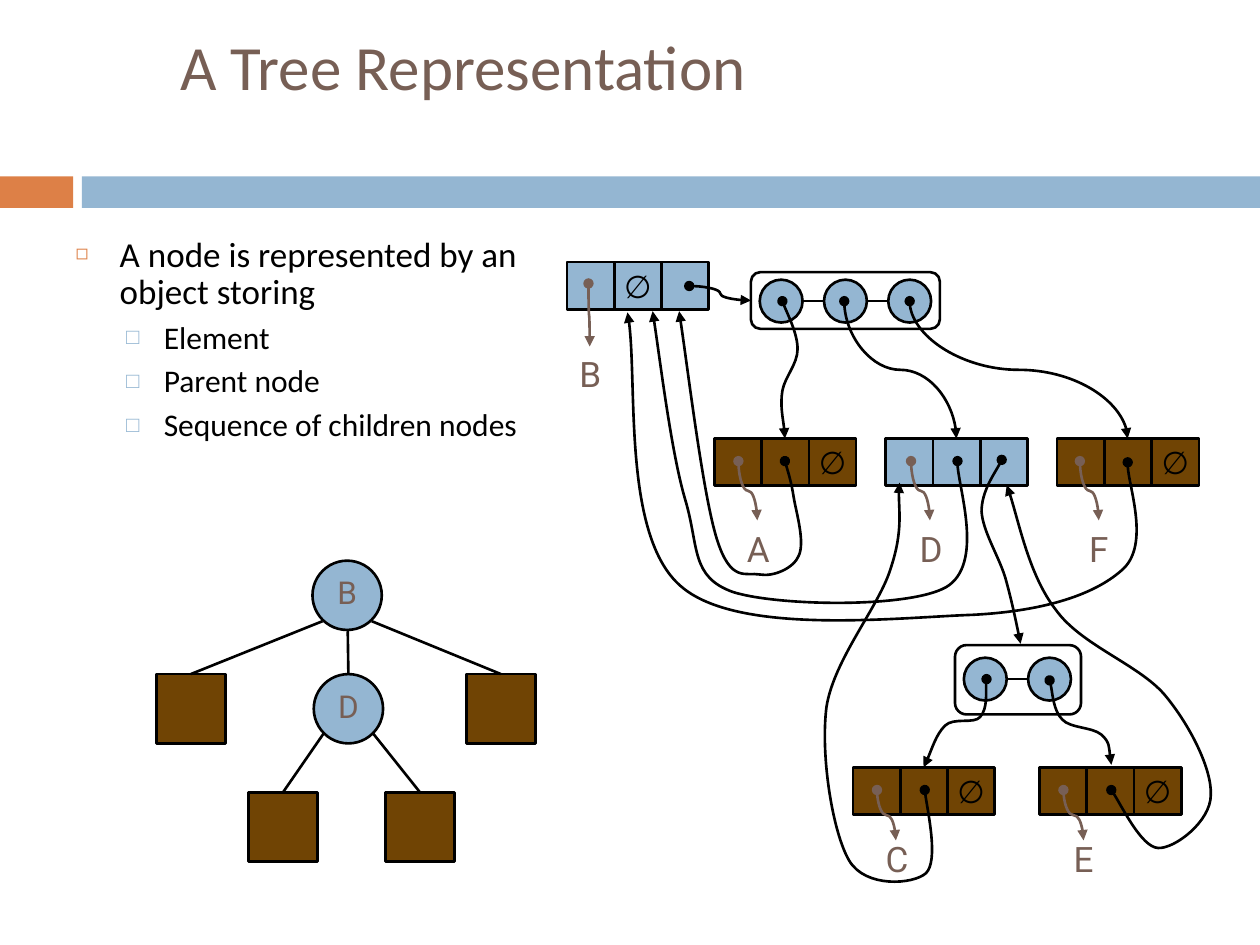
from dataclasses import dataclass

from lxml import etree
from pptx import Presentation
from pptx.dml.color import RGBColor
from pptx.enum.shapes import MSO_CONNECTOR, MSO_SHAPE
from pptx.enum.text import MSO_ANCHOR, MSO_AUTO_SIZE, PP_ALIGN
from pptx.oxml.ns import qn
from pptx.util import Cm, Pt

RECT, ROUND, OVAL = MSO_SHAPE.RECTANGLE, MSO_SHAPE.ROUNDED_RECTANGLE, MSO_SHAPE.OVAL
LINE, CURVE = MSO_CONNECTOR.STRAIGHT, MSO_CONNECTOR.CURVE
MIDDLE, TOP = MSO_ANCHOR.MIDDLE, MSO_ANCHOR.TOP
LEFT, CENTER = PP_ALIGN.LEFT, PP_ALIGN.CENTER
FIXED, GROW = MSO_AUTO_SIZE.NONE, MSO_AUTO_SIZE.SHAPE_TO_FIT_TEXT


@dataclass(frozen=True)
class Theme:
    blue: str = "94B6D2"
    brown: str = "704404"
    orange: str = "DD8047"
    taupe: str = "775F55"
    black: str = "000000"
    sans: str = "Calibri"
    mark: str = "Roboto"
    title: int = 36
    body: int = 20
    item: int = 18
    node: int = 18
    label: int = 20
    stroke: float = 1.5


T = Theme()
CELL, BALL, NODE = 0.375, 0.34, 0.55

# Name, left, top, fill, empty cell, element arrow (from x, y, to x, y), label drop
RECORDS = [
    ("B", 4.5, 2.08, T.blue, 1, (0.17, 0.17, 0.18, 0.67), 0.67),
    ("A", 5.67, 3.48, T.brown, 2, (0.19, 0.18, 0.34, 0.65), 0.66),
    ("D", 7.03, 3.48, T.blue, None, (0.2, 0.18, 0.35, 0.65), 0.66),
    ("F", 8.39, 3.48, T.brown, 2, (0.18, 0.18, 0.33, 0.65), 0.66),
    ("C", 6.77, 6.09, T.brown, 2, (0.19, 0.18, 0.34, 0.58), 0.51),
    ("E", 8.25, 6.09, T.brown, 2, (0.19, 0.18, 0.35, 0.58), 0.51),
]

# Tree nodes: name, shape, left, top, fill, text
NODES = [
    ("B", OVAL, 2.48, 4.45, T.blue, "B"), ("D", OVAL, 2.49, 5.35, T.blue, "D"),
    ("A", RECT, 1.24, 5.35, T.brown, ""), ("C", RECT, 1.97, 6.29, T.brown, ""),
    ("E", RECT, 3.06, 6.29, T.brown, ""), ("F", RECT, 3.7, 5.35, T.brown, ""),
]

# Edges: child, point on the rim of its parent
EDGES = [("E", (2.96, 5.82)), ("C", (2.57, 5.82)), ("A", (2.56, 4.93)),
         ("D", (2.76, 5.01)), ("F", (2.95, 4.93))]

# Pointer curves: a start, then two handles and an end for each bend
PATHS = [
    # Children to parents
    [(6.23, 3.66), (6.24, 3.7), (6.28, 3.82), (6.3, 3.95), (6.32, 4.07), (6.39, 4.3),
     (6.34, 4.41), (6.3, 4.51), (6.14, 4.58), (6.03, 4.56), (5.92, 4.54), (5.8, 4.63),
     (5.69, 4.28), (5.58, 3.93), (5.45, 2.85), (5.39, 2.47)],
    [(7.6, 3.66), (7.59, 3.82), (7.81, 4.48), (7.51, 4.66), (7.21, 4.83), (6.17, 4.81),
     (5.82, 4.7), (5.48, 4.58), (5.55, 4.34), (5.44, 3.97), (5.33, 3.6), (5.23, 2.78),
     (5.18, 2.47)],
    [(8.95, 3.67), (8.94, 3.81), (9.12, 4.31), (8.92, 4.51), (8.71, 4.71), (8.31, 4.85),
     (7.72, 4.88), (7.13, 4.9), (5.85, 5.05), (5.4, 4.65), (4.94, 4.25), (5.07, 2.93),
     (4.98, 2.48)],
    [(7.34, 6.27), (7.35, 6.38), (7.45, 6.83), (7.35, 6.93), (7.25, 7.02), (6.87, 7.05),
     (6.74, 6.83), (6.61, 6.61), (6.51, 6), (6.56, 5.61), (6.62, 5.23), (6.98, 4.81),
     (7.07, 4.51), (7.17, 4.21), (7.12, 3.97), (7.14, 3.83)],
    [(8.82, 6.27), (8.88, 6.35), (9.06, 6.72), (9.19, 6.73), (9.32, 6.74), (9.61, 6.52),
     (9.61, 6.31), (9.62, 6.11), (9.45, 5.76), (9.24, 5.51), (9.03, 5.27), (8.58, 5.12),
     (8.38, 4.84), (8.17, 4.57), (8.07, 4.06), (7.99, 3.85)],
    # Parents to children
    [(7.95, 3.65), (7.92, 3.72), (7.79, 3.9), (7.79, 4.06), (7.8, 4.22), (7.93, 4.42),
     (7.98, 4.59), (8.03, 4.77), (8.08, 5.01), (8.1, 5.11)],
    [(8.33, 5.4), (8.35, 5.45), (8.36, 5.64), (8.43, 5.71), (8.49, 5.78), (8.67, 5.77),
     (8.74, 5.83), (8.81, 5.89), (8.81, 6.02), (8.82, 6.07)],
    [(7.83, 5.39), (7.82, 5.44), (7.84, 5.62), (7.78, 5.69), (7.73, 5.75), (7.57, 5.69),
     (7.5, 5.76), (7.43, 5.83), (7.37, 6.02), (7.33, 6.09)],
    [(6.21, 2.39), (6.23, 2.45), (6.33, 2.65), (6.33, 2.77), (6.33, 2.89), (6.23, 2.99),
     (6.21, 3.1), (6.19, 3.22), (6.23, 3.4), (6.23, 3.48)],
]


def unit(size):
    """One grid unit is 2.54 cm."""
    return Cm(2.54 * size)


def units(*sizes):
    return [unit(size) for size in sizes]


def assign(item, values):
    for name, value in values.items():
        setattr(item, name, value)


def add_tag(parent, tag, **attrs):
    return etree.SubElement(parent, qn(tag), attrs)


def write(para, text, size, color, font, align=CENTER):
    para.text, para.alignment = text, align
    assign(para.runs[0].font, {"size": Pt(size), "name": font})
    para.runs[0].font.color.rgb = RGBColor.from_string(color)


def stroke(item, color=T.black, arrow=False):
    item.line.color.rgb = RGBColor.from_string(color)
    item.line.width = Pt(T.stroke)
    if arrow:
        edge = item.line._get_or_add_ln()
        add_tag(edge, "a:headEnd", type="oval")
        add_tag(edge, "a:tailEnd", type="triangle")


def add_box(shapes, kind, place, fill=None, text="", rim=True, foot=0.05):
    box = shapes.add_shape(kind, *units(*place))
    box.shadow.inherit = False
    if fill:
        box.fill.solid()
        box.fill.fore_color.rgb = RGBColor.from_string(fill)
    else:
        box.fill.background()
    if rim:
        stroke(box)
    else:
        box.line.fill.background()
    if text:
        frame = box.text_frame
        assign(frame, {"margin_left": 0, "margin_right": 0, "margin_top": 0,
                       "margin_bottom": unit(foot), "word_wrap": False,
                       "vertical_anchor": MIDDLE})
        color = T.black if text == "∅" else T.taupe
        write(frame.paragraphs[0], text, T.node, color, T.mark)
    return box


def add_link(shapes, kind, start, end, color=T.black, arrow=False):
    link = shapes.add_connector(kind, *units(*start, *end))
    stroke(link, color, arrow)
    add_tag(link._element.spPr, "a:effectLst")
    return link


def add_drop(shapes, start, end, color=T.black, goal=None):
    """A curve that leaves and arrives upright: a turned, mirrored connector."""
    drop = add_link(shapes, CURVE, start, end, color, True)
    if goal:
        drop.end_connect(goal, 0)
    wide, high = end[0] - start[0], end[1] - start[1]
    mid_x, mid_y = (start[0] + end[0]) / 2, (start[1] + end[1]) / 2
    assign(drop, {"left": unit(mid_x - high / 2), "top": unit(mid_y - wide / 2),
                  "width": unit(high), "height": unit(wide)})
    frame = drop._element.spPr.find(qn("a:xfrm"))
    for name, value in {"rot": "16200000", "flipH": "1", "flipV": "0"}.items():
        frame.set(name, value)


def add_path(shapes, points):
    start, *rest = [units(*point) for point in points]
    pen = shapes.build_freeform(*start)
    pen.add_line_segments(rest, close=False)
    path = pen.convert_to_shape()
    path.shadow.inherit = False
    path.fill.background()
    stroke(path, arrow=True)
    # Each three line ends become one cubic bend
    legs = list(path._element.iter(qn("a:lnTo")))
    for first in range(0, len(legs), 3):
        bend = add_tag(legs[first].getparent(), "a:cubicBezTo")
        for leg in legs[first:first + 3]:
            bend.append(leg[0])
            leg.getparent().remove(leg)


def add_label(shapes, text, mid, top):
    box = shapes.add_textbox(*units(mid - 0.18, top, 0.36, 0.43))
    assign(box.text_frame, {"word_wrap": False, "auto_size": GROW})
    write(box.text_frame.paragraphs[0], text, T.label, T.taupe, T.mark)


def add_record(shapes, name, left, top, fill, empty, arrow, drop):
    cells = [add_box(shapes, RECT, (left + i * CELL, top, CELL, CELL), fill,
                     "∅" if i == empty else "", foot=0) for i in range(3)]
    x1, y1, x2, y2 = arrow
    add_drop(shapes, (left + x1, top + y1), (left + x2, top + y2), T.taupe)
    add_label(shapes, name, left + x2, top + drop)
    return cells


def add_list(shapes, place, left, top, count):
    """A frame with a row of linked balls."""
    frame = add_box(shapes, ROUND, place)
    mid = top + BALL / 2
    add_link(shapes, LINE, (left + BALL, mid), (left + 0.51 * (count - 1), mid))
    for i in range(count):
        add_box(shapes, OVAL, (left + i * 0.51, top, BALL, BALL), T.blue)
    return frame


def add_item(para, text, level):
    sign, tint, ratio, left, hang, size, gap = [
        ("◻", T.orange, "60000", 0.35, 0.35, T.body, 7),
        ("□", T.blue, "70000", 0.7, 0.3, T.item, 5.5)][level]
    write(para, text, size, T.black, T.sans, LEFT)
    assign(para, {"level": level, "line_spacing": 0.9, "space_before": Pt(gap)})
    props = para._p.get_or_add_pPr()
    props.set("marL", str(unit(left)))
    props.set("indent", str(-unit(hang)))
    add_tag(add_tag(props, "a:buClr"), "a:srgbClr", val=tint)
    add_tag(props, "a:buSzPct", val=ratio)
    add_tag(props, "a:buChar", char=sign)


def add_text(slide):
    title, body = slide.placeholders
    for item, place, anchor in [(title, (1.33, 0, 8.5, 1.04), MIDDLE),
                                (body, (0.5, 1.83, 3.92, 2), TOP)]:
        assign(item, dict(zip(("left", "top", "width", "height"), units(*place))))
        assign(item.text_frame, {"vertical_anchor": anchor, "auto_size": FIXED,
                                 "word_wrap": True})
    write(title.text_frame.paragraphs[0], "A Tree Representation",
          T.title, T.taupe, T.sans, LEFT)
    frame = body.text_frame
    add_item(frame.paragraphs[0], "A node is represented by an object storing", 0)
    for text in ("Element", "Parent node", "Sequence of children nodes"):
        add_item(frame.add_paragraph(), text, 1)


def add_tree(shapes):
    nodes = {name: add_box(shapes, kind, (left, top, NODE, NODE), fill, text)
             for name, kind, left, top, fill, text in NODES}
    for name, rim in EDGES:
        add_link(shapes, LINE, rim, rim).begin_connect(nodes[name], 0)


def add_graph(shapes):
    upper = add_list(shapes, (5.96, 2.16, 1.5, 0.45), 6.03, 2.22, 3)
    add_list(shapes, (7.58, 5.12, 1, 0.55), 7.65, 5.22, 2)
    cells = {record[0]: add_record(shapes, *record) for record in RECORDS}
    link = add_link(shapes, CURVE, (5.47, 2.27), (5.96, 2.38), arrow=True)
    link.end_connect(upper, 1)
    for name, start, end in [("D", 6.7, 7.59), ("F", 7.22, 8.95)]:
        add_drop(shapes, (start, 2.39), (end, 3.48), goal=cells[name][1])
    for points in PATHS:
        add_path(shapes, points)


def main():
    deck = Presentation()
    deck.slide_width, deck.slide_height = units(10, 7.5)
    slide = deck.slides.add_slide(deck.slide_layouts[1])
    # Bands
    add_box(slide.shapes, RECT, (0, 1.4, 0.58, 0.25), T.orange, rim=False)
    add_box(slide.shapes, RECT, (0.65, 1.4, 9.35, 0.25), T.blue, rim=False)
    # Title and list
    add_text(slide)
    # Diagrams
    add_tree(slide.shapes.add_group_shape().shapes)
    add_graph(slide.shapes.add_group_shape().shapes)
    deck.save("out.pptx")


if __name__ == "__main__":
    main()
